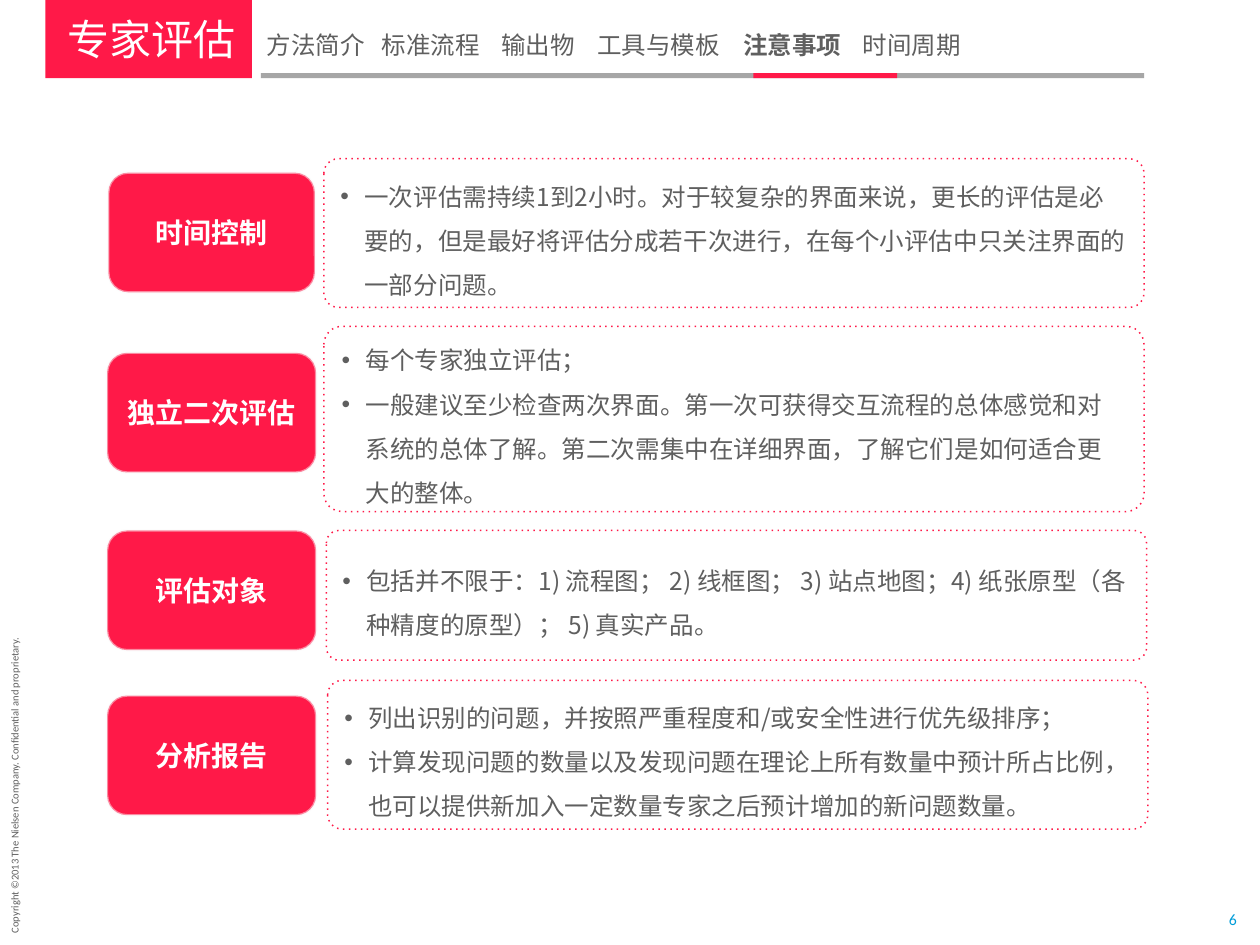
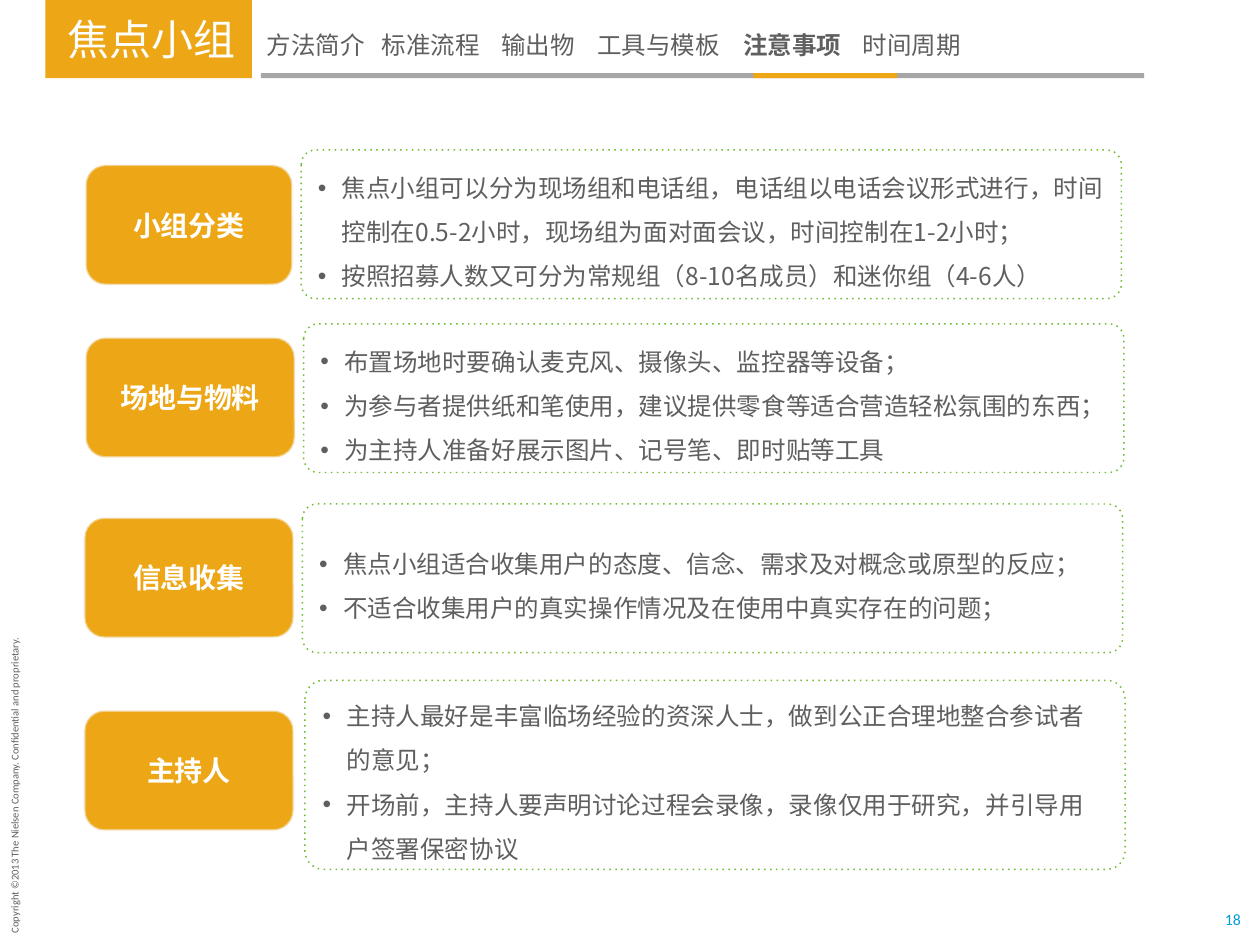
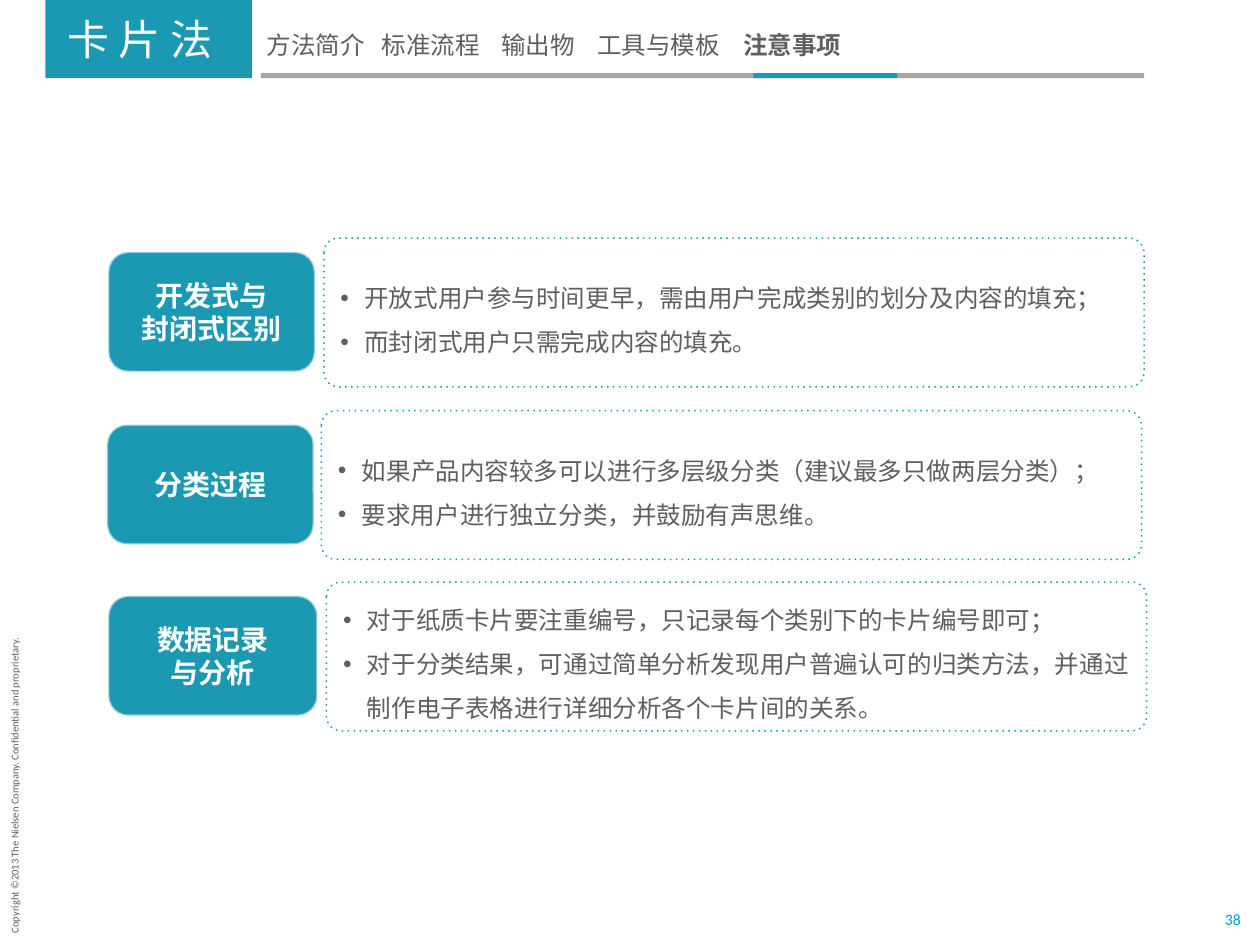
import dataclasses
import typing

import lxml.etree
import pptx
import pptx.dml.color
import pptx.enum.shapes
import pptx.enum.text
import pptx.oxml.ns
import pptx.util

SHAPE = pptx.enum.shapes.MSO_SHAPE
ALIGN = pptx.enum.text.PP_ALIGN
ANCHOR = pptx.enum.text.MSO_ANCHOR
qn = pptx.oxml.ns.qn

SLIDE_WIDTH = pptx.util.Inches(10)
SLIDE_HEIGHT = pptx.util.Inches(7.5)
GRID_COLUMNS = 100
GRID_ROWS = 75


@dataclasses.dataclass(frozen=True)
class Theme:
    red: str = "FF1948"
    amber: str = "ECA616"
    green: str = "6EBB32"
    teal: str = "1C99B2"
    ink: str = "5F5F5F"
    white: str = "FFFFFF"
    rule: str = "A6A6A6"
    edge: str = "F9F9F9"
    number: str = "009DD9"
    cjk: str = "Noto Sans CJK SC"
    latin: str = "Calibri"
    title_size: float = 24
    label_size: float = 16
    body_size: float = 14
    number_size: float = 9
    copyright_size: float = 6


THEME = Theme()


class Place(typing.NamedTuple):
    column: float
    row: float
    columns: float
    rows: float


class Style(typing.NamedTuple):
    size: float
    color: str
    font: str = THEME.cjk
    bold: bool = False


class Topic(typing.NamedTuple):
    label: list[str]
    notes: list[str]
    label_place: Place
    panel_place: Place


class Method(typing.NamedTuple):
    title: str
    number: int
    accent: str
    outline: str
    tabs: list[str]
    topics: list[Topic]


TITLE = Style(THEME.title_size, THEME.white)
LABEL = Style(THEME.label_size, THEME.white, bold=True)
BODY = Style(THEME.body_size, THEME.ink)
NUMBER = Style(THEME.number_size, THEME.number, THEME.latin)
COPYRIGHT = Style(THEME.copyright_size, THEME.ink, THEME.latin)

TABS = ["方法简介", "标准流程", "输出物", "工具与模板", "注意事项", "时间周期"]
TAB_STOPS = [9.1, 18.6, 26.2, 37.8, 47.3]
CURRENT_TAB = "注意事项"
NOTICE = "Copyright ©2013 The Nielsen Company. Confidential and proprietary."


def across(columns: float) -> int:
    return round(SLIDE_WIDTH * columns / GRID_COLUMNS)


def down(rows: float) -> int:
    return round(SLIDE_HEIGHT * rows / GRID_ROWS)


def frame_of(place: Place) -> tuple[int, int, int, int]:
    return across(place.column), down(place.row), across(place.columns), down(place.rows)


def rgb(color: str) -> pptx.dml.color.RGBColor:
    return pptx.dml.color.RGBColor.from_string(color)


def label_at(column: float, row: float, columns: float = 16.6) -> Place:
    return Place(column, row, columns, 9.5)


def panel_at(column: float, row: float, rows: float = 11.8) -> Place:
    return Place(column, row, 65.1, rows)


def add_span(para, text: str, style: Style) -> None:
    span = para.add_run()
    span.text = text
    span.font.size = pptx.util.Pt(style.size)
    span.font.bold = style.bold
    span.font.color.rgb = rgb(style.color)
    span.font.name = style.font
    lxml.etree.SubElement(span.font._element, qn("a:ea"), typeface=style.font)


def add_paras(box, lines: list[str], style: Style, align=ALIGN.LEFT) -> list:
    frame = box.text_frame
    paras = []
    for index, line in enumerate(lines):
        para = frame.add_paragraph() if index else frame.paragraphs[0]
        para.alignment = align
        add_span(para, line, style)
        paras.append(para)
    return paras


def add_box(page, place: Place, kind=SHAPE.RECTANGLE, fill: str | None = None):
    box = page.shapes.add_shape(kind, *frame_of(place))
    box.shadow.inherit = False
    if fill:
        box.fill.solid()
        box.fill.fore_color.rgb = rgb(fill)
    else:
        box.fill.background()
    box.line.fill.background()
    box.text_frame.word_wrap = True
    box.text_frame.vertical_anchor = ANCHOR.MIDDLE
    return box


def outline_box(box, color: str, width: float) -> None:
    box.line.color.rgb = rgb(color)
    box.line.width = pptx.util.Pt(width)


def add_text_box(page, place: Place, wrap: bool):
    box = page.shapes.add_textbox(*frame_of(place))
    box.text_frame.word_wrap = wrap
    box.text_frame.auto_size = pptx.enum.text.MSO_AUTO_SIZE.SHAPE_TO_FIT_TEXT
    return box


def add_footer(page, number: int) -> None:
    notice = add_text_box(page, Place(-11.8, 61.1, 25.9, 2), wrap=False)
    notice.rotation = 270
    add_paras(notice, [NOTICE], COPYRIGHT)

    box = add_text_box(page, Place(97.1, 72.2, 1.5, 1.5), wrap=False)
    frame = box.text_frame
    frame.margin_left = frame.margin_right = frame.margin_top = frame.margin_bottom = 0
    frame.vertical_anchor = ANCHOR.MIDDLE
    add_paras(box, [str(number)], NUMBER, ALIGN.CENTER)


def add_header(page, method: Method) -> None:
    title = add_box(page, Place(3.6, 0, 16.4, 6.2), fill=method.accent)
    title.text_frame.margin_left = across(1.75)
    add_paras(title, [method.title], TITLE)

    add_box(page, Place(20.7, 5.8, 70.1, 0.4), fill=THEME.rule)
    add_box(page, Place(59.8, 5.8, 11.4, 0.4), fill=method.accent)

    menu = add_text_box(page, Place(20.2, 1.9, 69.2, 3.4), wrap=True)
    para = menu.text_frame.paragraphs[0]
    stops = lxml.etree.SubElement(para._p.get_or_add_pPr(), qn("a:tabLst"))
    for stop in TAB_STOPS:
        lxml.etree.SubElement(stops, qn("a:tab"), pos=str(across(stop)), algn="l")
    for index, tab in enumerate(method.tabs):
        style = BODY._replace(bold=tab == CURRENT_TAB)
        add_span(para, f"\t{tab}" if index else tab, style)


def add_topic(page, topic: Topic, method: Method) -> None:
    label = add_box(page, topic.label_place, SHAPE.ROUNDED_RECTANGLE, method.accent)
    outline_box(label, THEME.edge, 1.35)
    edge = label._element.xpath(".//a:ln//a:srgbClr")[0]
    lxml.etree.SubElement(edge, qn("a:alpha"), val="50000")
    add_paras(label, topic.label, LABEL, ALIGN.CENTER)

    panel = add_box(page, topic.panel_place, SHAPE.ROUNDED_RECTANGLE)
    panel.adjustments[0] = 0.098
    outline_box(panel, method.outline, 0.85)
    line = panel._element.xpath(".//a:ln")[0]
    lxml.etree.SubElement(line, qn("a:prstDash"), val="dot")
    for para in add_paras(panel, topic.notes, BODY):
        settings = para._p.get_or_add_pPr()
        settings.set("marL", str(across(1.9)))
        settings.set("indent", str(-across(1.9)))
        lxml.etree.SubElement(settings, qn("a:buFont"), typeface="Arial")
        lxml.etree.SubElement(settings, qn("a:buChar"), char="•")
        para.line_spacing = 1.5


METHODS = [
    Method("专家评估", 6, THEME.red, THEME.red, TABS, [
        Topic(
            ["时间控制"],
            ["一次评估需持续1到2小时。对于较复杂的界面来说，更长的评估是必要的，但是最好将评估分成若干次进行，在每个小评估中只关注界面的一部分问题。"],
            label_at(8.6, 13.7, 16.4), panel_at(25.7, 12.6),
        ),
        Topic(
            ["独立二次评估"],
            ["每个专家独立评估；",
             "一般建议至少检查两次界面。第一次可获得交互流程的总体感觉和对系统的总体了解。第二次需集中在详细界面，了解它们是如何适合更大的整体。"],
            label_at(8.5, 28), panel_at(25.7, 25.9, 14.7),
        ),
        Topic(
            ["评估对象"],
            ["包括并不限于：1) 流程图； 2) 线框图； 3) 站点地图；4) 纸张原型（各种精度的原型）； 5) 真实产品。"],
            label_at(8.5, 42.1), panel_at(25.9, 42.1, 10.3),
        ),
        Topic(
            ["分析报告"],
            ["列出识别的问题，并按照严重程度和/或安全性进行优先级排序；",
             "计算发现问题的数量以及发现问题在理论上所有数量中预计所占比例，也可以提供新加入一定数量专家之后预计增加的新问题数量。"],
            label_at(8.5, 55.2), panel_at(26, 54),
        ),
    ]),
    Method("焦点小组", 18, THEME.amber, THEME.green, TABS, [
        Topic(
            ["小组分类"],
            ["焦点小组可以分为现场组和电话组，电话组以电话会议形式进行，时间控制在0.5-2小时，现场组为面对面会议，时间控制在1-2小时；",
             "按照招募人数又可分为常规组（8-10名成员）和迷你组（4-6人）"],
            label_at(6.8, 13.1, 16.4), panel_at(23.9, 11.9),
        ),
        Topic(
            ["场地与物料"],
            ["布置场地时要确认麦克风、摄像头、监控器等设备；",
             "为参与者提供纸和笔使用，建议提供零食等适合营造轻松氛围的东西；",
             "为主持人准备好展示图片、记号笔、即时贴等工具"],
            label_at(6.8, 26.8), panel_at(24.1, 25.7),
        ),
        Topic(
            ["信息收集"],
            ["焦点小组适合收集用户的态度、信念、需求及对概念或原型的反应；",
             "不适合收集用户的真实操作情况及在使用中真实存在的问题；"],
            label_at(6.7, 41.1), panel_at(24, 40),
        ),
        Topic(
            ["主持人"],
            ["主持人最好是丰富临场经验的资深人士，做到公正合理地整合参试者的意见；",
             "开场前，主持人要声明讨论过程会录像，录像仅用于研究，并引导用户签署保密协议"],
            label_at(6.7, 56.4), panel_at(24.2, 54, 15),
        ),
    ]),
    Method("卡 片 法", 38, THEME.teal, THEME.teal, TABS[:-1], [
        Topic(
            ["开发式与", "封闭式区别"],
            ["开放式用户参与时间更早，需由用户完成类别的划分及内容的填充；",
             "而封闭式用户只需完成内容的填充。"],
            label_at(8.6, 20, 16.4), panel_at(25.7, 18.9),
        ),
        Topic(
            ["分类过程"],
            ["如果产品内容较多可以进行多层级分类（建议最多只做两层分类）；",
             "要求用户进行独立分类，并鼓励有声思维。"],
            label_at(8.5, 33.7, 16.4), panel_at(25.5, 32.6),
        ),
        Topic(
            ["数据记录", "与分析"],
            ["对于纸质卡片要注重编号，只记录每个类别下的卡片编号即可；",
             "对于分类结果，可通过简单分析发现用户普遍认可的归类方法，并通过制作电子表格进行详细分析各个卡片间的关系。"],
            label_at(8.6, 47.3), panel_at(25.9, 46.2),
        ),
    ]),
]


def main() -> None:
    deck = pptx.Presentation()
    deck.slide_width = SLIDE_WIDTH
    deck.slide_height = SLIDE_HEIGHT
    for method in METHODS:
        page = deck.slides.add_slide(deck.slide_layouts[6])
        add_footer(page, method.number)
        add_header(page, method)
        for topic in method.topics:
            add_topic(page, topic, method)
    deck.save("out.pptx")


if __name__ == "__main__":
    main()
